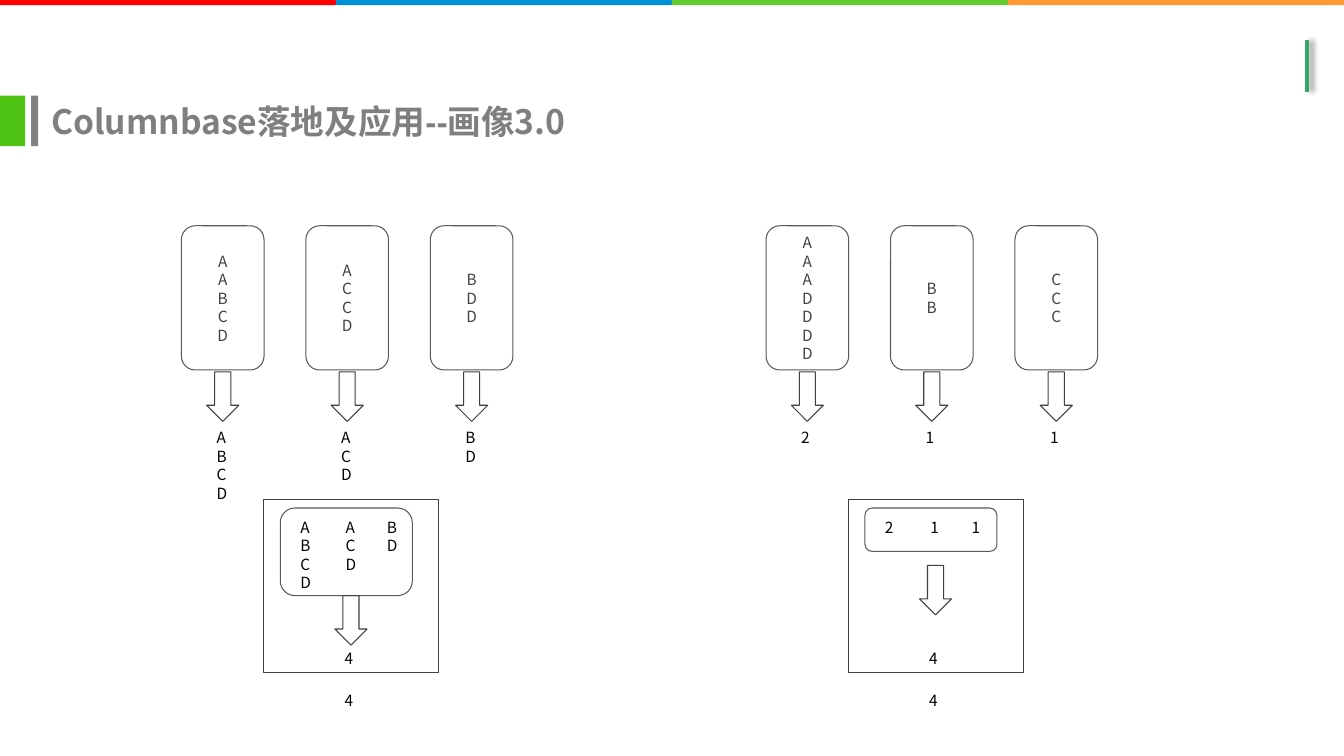
from lxml.etree import SubElement
from pptx import Presentation
from pptx.dml.color import RGBColor
from pptx.enum.shapes import MSO_CONNECTOR, MSO_SHAPE
from pptx.enum.text import MSO_ANCHOR, MSO_AUTO_SIZE, PP_ALIGN
from pptx.oxml.ns import qn
from pptx.util import Pt

COLORS = {
    "red": "FF0000", "blue": "0091D7", "lime": "62CA2C", "orange": "FF9933",
    "green": "50C414", "bar": "808080", "accent": "37A76F", "title": "7F7F7F",
    "border": "595959", "dark": "404040", "black": "000000",
}
FONT = "Noto Sans CJK SC"
LINE_HEIGHT = 13.2
PANEL_SHIFT = 417.6
COLUMN_PITCH = 88.9
POOL_COLUMNS = (207.4, 239.8, 269.3)
PANELS = [
    {"shards": ("AABCD", "ACCD", "BDD"), "partials": ("ABCD", "ACD", "BD"),
     "pool_height": 62.6, "arrow_top": 425.5},
    {"shards": ("AAADDDD", "BB", "CCC"), "partials": ("2", "1", "1"),
     "pool_height": 31, "arrow_top": 403.9},
]


class SlidePainter:
    """Draws styled elements on one slide, with all lengths in points."""

    def __init__(self, slide):
        self.slide = slide

    def color(self, name):
        return RGBColor.from_string(COLORS[name])

    def style_run(self, run, color, size=11, bold=False, latin=FONT):
        formats = {"name": latin, "size": Pt(size), "bold": bold}
        for name, value in formats.items():
            setattr(run.font, name, value)
        run.font.color.rgb = self.color(color)
        SubElement(run.font._element, qn("a:ea"), typeface=FONT)

    def letters(self, frame, text, color, alignment):
        for index, letter in enumerate(text):
            paragraph = frame.paragraphs[0] if index == 0 else frame.add_paragraph()
            paragraph.alignment = alignment
            paragraph.line_spacing = Pt(LINE_HEIGHT)
            run = paragraph.add_run()
            run.text = letter
            self.style_run(run, color)

    def shape(self, kind, left, top, width, height, fill=None, line=None, text=""):
        shape = self.slide.shapes.add_shape(
            kind, Pt(left), Pt(top), Pt(width), Pt(height))
        shape.shadow.inherit = False
        if fill:
            shape.fill.solid()
            shape.fill.fore_color.rgb = self.color(fill)
        else:
            shape.fill.background()
        if line:
            shape.line.color.rgb = self.color(line)
            shape.line.width = Pt(0.75)
        else:
            shape.line.fill.background()
        if text:
            shape.text_frame.vertical_anchor = MSO_ANCHOR.MIDDLE
            self.letters(shape.text_frame, text, "dark", PP_ALIGN.CENTER)

    def arrow(self, left, top):
        self.shape(MSO_SHAPE.DOWN_ARROW, left, top, 23, 35.3, line="dark")

    def text_box(self, left, top, width, height, **formats):
        frame = self.slide.shapes.add_textbox(
            Pt(left), Pt(top), Pt(width), Pt(height)).text_frame
        for name, value in {"word_wrap": True, **formats}.items():
            setattr(frame, name, value)
        return frame

    def label(self, left, top, text):
        frame = self.text_box(left, top, 23, LINE_HEIGHT * len(text) + 7.2,
                              auto_size=MSO_AUTO_SIZE.SHAPE_TO_FIT_TEXT)
        self.letters(frame, text, "black", PP_ALIGN.LEFT)

    def title(self, parts):
        frame = self.text_box(29.5, 57.6, 754.6, 58.3,
                              vertical_anchor=MSO_ANCHOR.MIDDLE)
        for text, latin in parts:
            run = frame.paragraphs[0].add_run()
            run.text = text
            self.style_run(run, "title", size=24, bold=True, latin=latin)

    def shadowed_line(self, left, top, bottom):
        line = self.slide.shapes.add_connector(
            MSO_CONNECTOR.STRAIGHT, Pt(left), Pt(top), Pt(left), Pt(bottom))
        line.line.color.rgb = self.color("accent")
        line.line.width = Pt(3)
        effects = SubElement(line._element.spPr, qn("a:effectLst"))
        shadow = SubElement(effects, qn("a:outerShdw"), blurRad=str(Pt(4)),
                            dist=str(Pt(3)), dir="0", rotWithShape="0")
        black = SubElement(shadow, qn("a:srgbClr"), val=COLORS["black"])
        SubElement(black, qn("a:alpha"), val="40000")


def draw_header(painter):
    painter.shape(MSO_SHAPE.RECTANGLE, 0, 68.4, 18, 36, fill="green")
    painter.shape(MSO_SHAPE.RECTANGLE, 22.3, 68.4, 5, 36, fill="bar")
    painter.shadowed_line(933.8, 28.8, 65.5)
    for index, color in enumerate(("red", "blue", "lime", "orange")):
        painter.shape(MSO_SHAPE.ROUNDED_RECTANGLE, 240 * index, 0, 240, 3.6, fill=color)
    painter.title([("Columnbase落地及应用", FONT), ("--", "Arial"), ("画像3.0", FONT)])


def draw_panel(painter, shift, panel):
    for index, (shard, partial) in enumerate(zip(panel["shards"], panel["partials"])):
        left = 129.6 + shift + COLUMN_PITCH * index
        painter.shape(MSO_SHAPE.ROUNDED_RECTANGLE, left, 161.3, 59, 103,
                      line="border", text=shard)
        painter.arrow(left + 18, 265.7)
        painter.label(left + 18, 302.4, partial)
    painter.shape(MSO_SHAPE.RECTANGLE, 188.6 + shift, 357.1, 124.6, 123.1, line="dark")
    painter.shape(MSO_SHAPE.ROUNDED_RECTANGLE, 200.2 + shift, 362.9, 94.3,
                  panel["pool_height"], line="border")
    for left, partial in zip(POOL_COLUMNS, panel["partials"]):
        painter.label(left + shift, 366.5, partial)
    painter.arrow(239.2 + shift, panel["arrow_top"])
    for top in (460.1, 490.3):
        painter.label(239 + shift, top, "4")


def main():
    presentation = Presentation()
    presentation.slide_width, presentation.slide_height = Pt(960), Pt(540)
    slide = presentation.slides.add_slide(presentation.slide_layouts[6])
    painter = SlidePainter(slide)
    draw_header(painter)
    for index, panel in enumerate(PANELS):
        draw_panel(painter, PANEL_SHIFT * index, panel)
    presentation.save("out.pptx")


if __name__ == "__main__":
    main()
